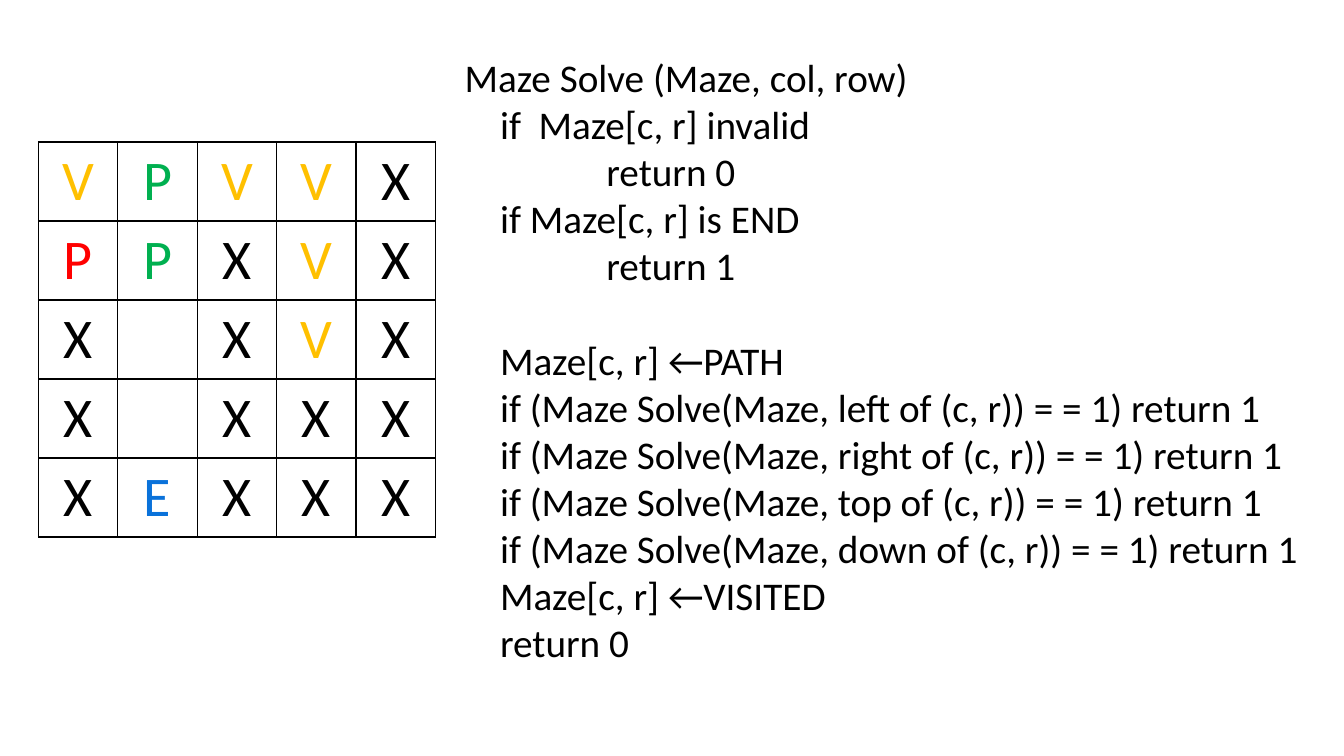
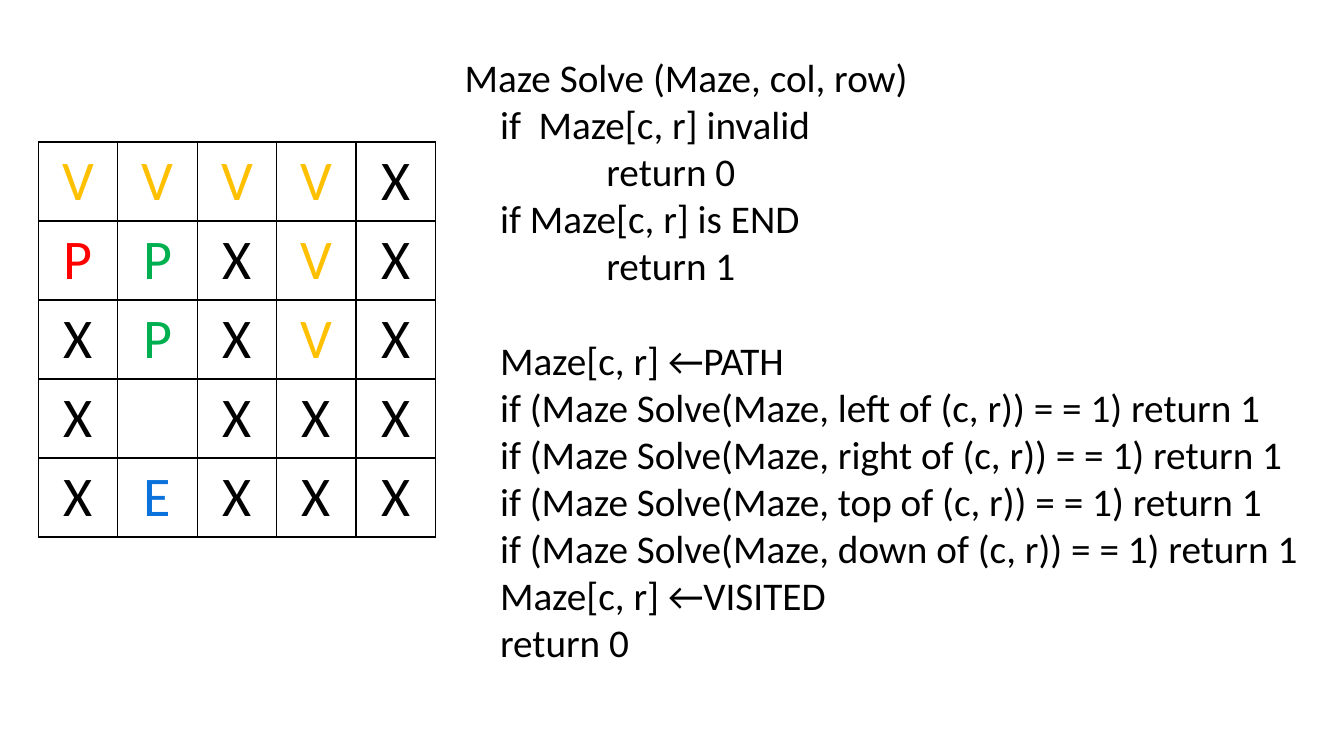
from dataclasses import dataclass

from lxml import etree
from pptx import Presentation
from pptx.dml.color import RGBColor
from pptx.enum.text import MSO_ANCHOR, MSO_AUTO_SIZE, PP_ALIGN
from pptx.oxml.ns import qn
from pptx.slide import Slide
from pptx.table import _Cell
from pptx.text.text import _Paragraph
from pptx.util import Cm, Pt

CENTER = PP_ALIGN.CENTER
MIDDLE = MSO_ANCHOR.MIDDLE
FIT_SHAPE = MSO_AUTO_SIZE.SHAPE_TO_FIT_TEXT

BLANK_LAYOUT = 6
FONT = "Calibri"
COLORS = {
    "black": "000000",
    "yellow": "FFC000",
    "green": "00B050",
    "red": "FF0000",
    "blue": "0A72DA",
}
COLUMN_WIDTH = Cm(2)
ROW_HEIGHT = Cm(1.99)
CODE_SIZE = 28
CODE_LINE_HEIGHT = Pt(34)


@dataclass(frozen=True)
class Mark:
    letter: str
    color: str


MARKS = {
    "V": Mark("V", "yellow"),
    "P": Mark("P", "green"),
    "S": Mark("P", "red"),  # the start cell is on the path too
    "E": Mark("E", "blue"),
    "X": Mark("X", "black"),
}

MAZES = [
    ["VPVVX", "SPXVX", "X XVX", "X XXX", "XEXXX"],
    ["VVVVX", "SPXVX", "XPXVX", "X XXX", "XEXXX"],
]

CODE_BLOCKS = [
    [
        "Maze Solve (Maze, col, row)",
        "    if  Maze[c, r] invalid",
        "                return 0",
        "    if Maze[c, r] is END",
        "                return 1",
    ],
    [
        "    Maze[c, r] ←PATH",
        *(
            f"    if (Maze Solve(Maze, {side} of (c, r)) = = 1) return 1"
            for side in ("left", "right", "top", "down")
        ),
        "    Maze[c, r] ←VISITED",
        "    return 0",
    ],
]


def set_font(paragraph: _Paragraph, size: float, color: str) -> None:
    font = paragraph.font
    font.name = FONT
    font.size = Pt(size)
    font.color.rgb = RGBColor.from_string(COLORS[color])


def set_borders(cell: _Cell) -> None:
    properties = cell._tc.get_or_add_tcPr()
    for index, side in enumerate(("lnL", "lnR", "lnT", "lnB")):
        line = etree.Element(qn(f"a:{side}"), w=str(Pt(1)))
        fill = etree.SubElement(line, qn("a:solidFill"))
        etree.SubElement(fill, qn("a:srgbClr"), val=COLORS["black"])
        properties.insert(index, line)


def add_maze(slide: Slide, maze: list[str]) -> None:
    row_count, column_count = len(maze), len(maze[0])
    table = slide.shapes.add_table(
        row_count, column_count, Cm(0.97), Cm(3.58),
        COLUMN_WIDTH * column_count, ROW_HEIGHT * row_count,
    ).table
    table.first_row = table.horz_banding = False
    for row_index, row in enumerate(maze):
        for column_index, symbol in enumerate(row):
            cell = table.cell(row_index, column_index)
            cell.fill.background()
            cell.vertical_anchor = MIDDLE
            set_borders(cell)
            if symbol in MARKS:
                mark = MARKS[symbol]
                paragraph = cell.text_frame.paragraphs[0]
                paragraph.text = mark.letter
                paragraph.alignment = CENTER
                set_font(paragraph, 40, mark.color)


def add_code(slide: Slide) -> None:
    """Write the pseudocode, with one line of space between its blocks."""
    box = slide.shapes.add_textbox(Cm(11.46), Cm(1.22), Cm(22.02), Cm(15.82))
    frame = box.text_frame
    frame.word_wrap = True
    frame.auto_size = FIT_SHAPE
    paragraph = frame.paragraphs[0]
    for block_index, block in enumerate(CODE_BLOCKS):
        for line_index, line in enumerate(block):
            if block_index or line_index:
                paragraph = frame.add_paragraph()
            if block_index and not line_index:
                paragraph.space_before = CODE_LINE_HEIGHT
            paragraph.text = line
            set_font(paragraph, CODE_SIZE, "black")


def main() -> None:
    presentation = Presentation()
    presentation.slide_width = Cm(33.87)
    presentation.slide_height = Cm(19.05)
    for maze in MAZES:
        slide = presentation.slides.add_slide(presentation.slide_layouts[BLANK_LAYOUT])
        add_maze(slide, maze)
        add_code(slide)
    presentation.save("out.pptx")


if __name__ == "__main__":
    main()
